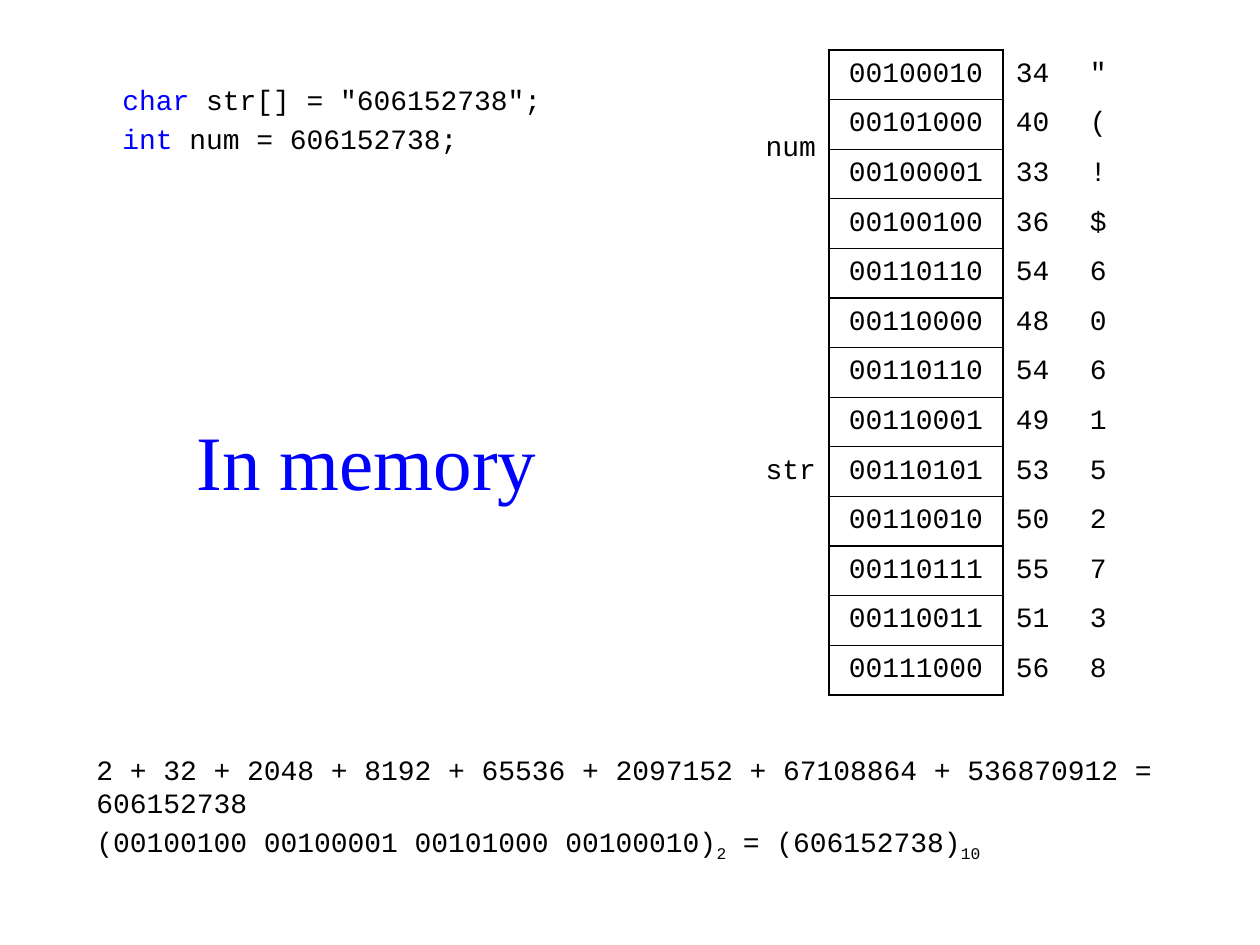
import pptx
import pptx.dml.color
import pptx.enum.text
import pptx.oxml
import pptx.oxml.ns
import pptx.util

ALIGN = pptx.enum.text.PP_ALIGN
MIDDLE = pptx.enum.text.MSO_ANCHOR.MIDDLE
TOP = pptx.enum.text.MSO_ANCHOR.TOP

THEME = {
    "code": ("Courier New", 16),
    "title": ("Times New Roman", 44),
    "ink": "000000",
    "accent": "0000FF",
    "frame": 1.5,
    "rule": 0.75,
    "gap": 3.2,
    "label_gap": 8,
}

MEMORY = [
    ("num", ["00100010", "00101000", "00100001", "00100100"]),
    ("str", ["00110110", "00110000", "00110110", "00110001", "00110101",
             "00110010", "00110111", "00110011", "00111000"]),
]

# Each paragraph is a list of (text, colour name, is subscript).
TITLE = [[("In memory", "accent", False)]]
SUMS = [
    [("2 + 32 + 2048 + 8192 + 65536 + 2097152 + 67108864 + 536870912 = 606152738",
      "ink", False)],
    [("(00100100 00100001 00101000 00100010)", "ink", False), ("2", "ink", True),
     (" = (606152738)", "ink", False), ("10", "ink", True)],
]
CODE = [
    [("char ", "accent", False), ('str[] = "606152738";', "ink", False)],
    [("int ", "accent", False), ("num = 606152738;", "ink", False)],
]

# Left, top, width, height in pixels.
TEXTS = [
    (TITLE, "title", (184, 398, 372, 123), MIDDLE, 0),
    (SUMS, "code", (84, 746, 1092, 123), TOP, THEME["gap"]),
    (CODE, "code", (110, 76, 471, 99), TOP, THEME["gap"]),
]
TABLE_LEFT, TABLE_TOP, TABLE_HEIGHT = 730, 50, 645
COLUMN_WIDTHS = [99, 174, 74, 50]


def px(length):
    """Turn pixels into EMU."""
    return pptx.util.Emu(round(length * 914400 / 126))


def add_spans(para, spans, face, gap):
    """Fill a paragraph run by run."""
    para.space_before = pptx.util.Pt(gap)
    name, size = THEME[face]
    for text, colour, subscript in spans:
        span = para.add_run()
        span.text = text
        span.font.name = name
        span.font.size = pptx.util.Pt(size)
        span.font.color.rgb = pptx.dml.color.RGBColor.from_string(THEME[colour])
        if subscript:
            span._r.get_or_add_rPr().set("baseline", "-25000")


def add_text(page, paragraphs, face, place, anchor, gap):
    """Add a wrapping text box."""
    box = page.shapes.add_textbox(*map(px, place))
    frame = box.text_frame
    frame.word_wrap = True
    frame.vertical_anchor = anchor
    for index, spans in enumerate(paragraphs):
        para = frame.add_paragraph() if index else frame.paragraphs[0]
        add_spans(para, spans, face, gap)


def set_borders(cell, widths):
    """Set left, right, top and bottom border widths; zero means none."""
    props = cell._tc.get_or_add_tcPr()
    for index, (side, width) in enumerate(zip("LRTB", widths)):
        paint = (f'<a:solidFill><a:srgbClr val="{THEME["ink"]}"/></a:solidFill>'
                 if width else "<a:noFill/>")
        line = pptx.oxml.parse_xml(
            f'<a:ln{side} {pptx.oxml.ns.nsdecls("a")} '
            f'w="{pptx.util.Pt(width)}">{paint}</a:ln{side}>')
        props.insert(index, line)


def fill_cell(cell, text, align, margins, gap, borders):
    """Style one table cell and write its text, if any."""
    cell.fill.background()
    cell.vertical_anchor = MIDDLE
    cell.margin_left = cell.margin_right = px(margins[0])
    cell.margin_top = cell.margin_bottom = px(margins[1])
    set_borders(cell, borders)
    if text:
        para = cell.text_frame.paragraphs[0]
        para.alignment = align
        add_spans(para, [(text, "ink", False)], "code", gap)


def add_memory(page):
    """Add the memory table: variable, bits, byte value and character."""
    rows = [(name if index == 0 else "", bits)
            for name, group in MEMORY for index, bits in enumerate(group)]
    table = page.shapes.add_table(
        len(rows), len(COLUMN_WIDTHS), px(TABLE_LEFT), px(TABLE_TOP),
        px(sum(COLUMN_WIDTHS)), px(TABLE_HEIGHT)).table
    table.first_row = table.horz_banding = False
    for column, width in zip(table.columns, COLUMN_WIDTHS):
        column.width = px(width)

    frame, rule, gap = THEME["frame"], THEME["rule"], THEME["gap"]
    for index, (name, bits) in enumerate(rows):
        table.rows[index].height = px(TABLE_HEIGHT / len(rows))
        above = rule if index else frame
        below = rule if index < len(rows) - 1 else frame
        value = int(bits, 2)
        cells = [
            (name, ALIGN.RIGHT, (13, 6), THEME["label_gap"], (0, frame, 0, 0)),
            (bits, ALIGN.CENTER, (10, 5), gap, (frame, frame, above, below)),
            (str(value), ALIGN.LEFT, (13, 5), gap, (frame, 0, 0, 0)),
            (chr(value), ALIGN.LEFT, (13, 5), gap, (0, 0, 0, 0)),
        ]
        for column, content in enumerate(cells):
            fill_cell(table.cell(index, column), *content)

    first = 0
    for _, group in MEMORY:
        last = first + len(group) - 1
        table.cell(first, 0).merge(table.cell(last, 0))
        first = last + 1


def main():
    """Build and save the slide."""
    deck = pptx.Presentation()
    deck.slide_width, deck.slide_height = px(1260), px(945)
    page = deck.slides.add_slide(deck.slide_layouts[6])
    add_memory(page)
    for text in TEXTS:
        add_text(page, *text)
    deck.save("out.pptx")


main()
